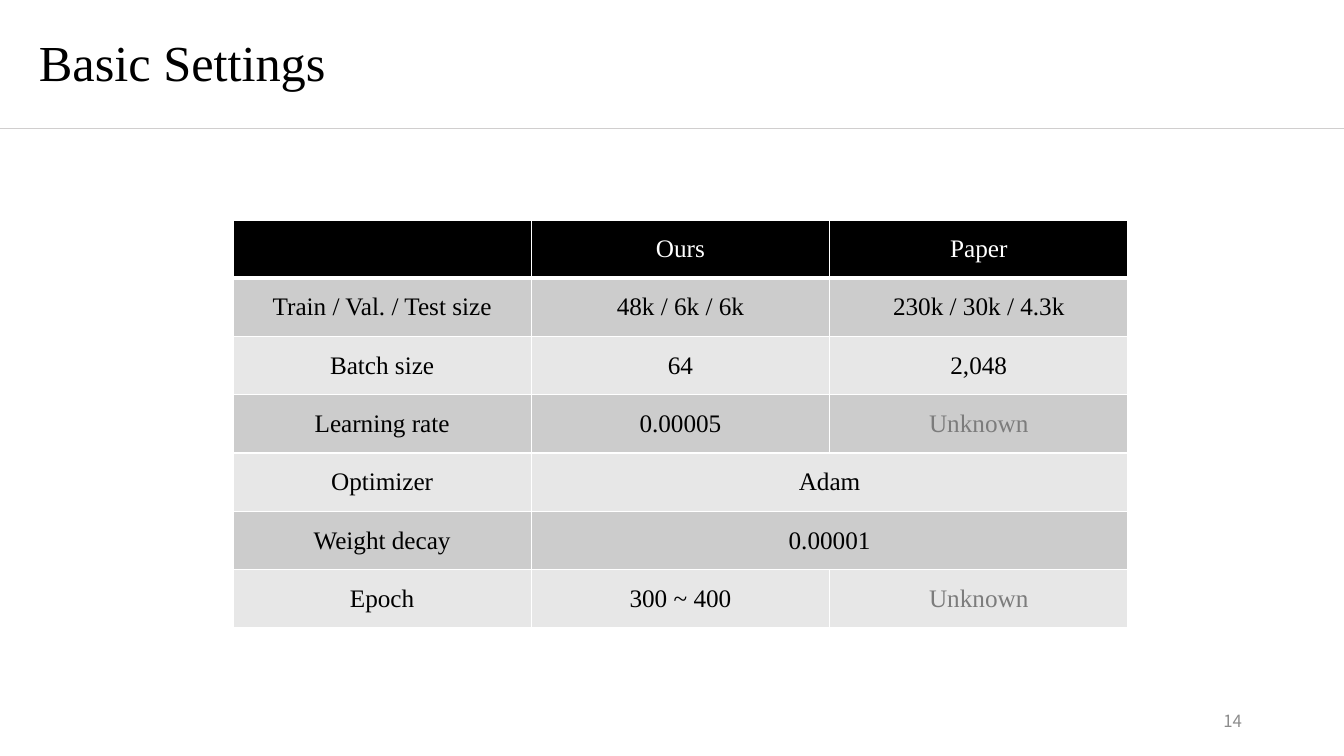
import pptx
import pptx.util
import pptx.dml.color
import pptx.enum.shapes
import pptx.enum.text
import pptx.oxml
import pptx.oxml.ns
import lxml.etree

RGBColor = pptx.dml.color.RGBColor
Align = pptx.enum.text.PP_ALIGN
Anchor = pptx.enum.text.MSO_ANCHOR

BLACK = RGBColor(0x00, 0x00, 0x00)
WHITE = RGBColor(0xFF, 0xFF, 0xFF)
RULE_GREY = RGBColor(0xD0, 0xCE, 0xCE)
NUMBER_GREY = RGBColor(0x8C, 0x8C, 0x8C)
UNKNOWN_GREY = RGBColor(0x7C, 0x7C, 0x7C)
BAND_DARK = RGBColor(0xCC, 0xCC, 0xCC)
BAND_LIGHT = RGBColor(0xE7, 0xE7, 0xE7)

SLIDE_WIDTH, SLIDE_HEIGHT = 1344, 756
EMU_PER_PX = 12192000 / SLIDE_WIDTH

SETTINGS = [
    ["", "Ours", "Paper"],
    ["Train / Val. / Test size", "48k / 6k / 6k", "230k / 30k / 4.3k"],
    ["Batch size", "64", "2,048"],
    ["Learning rate", "0.00005", "Unknown"],
    ["Optimizer", "Adam"],  # a short row spans to the last column
    ["Weight decay", "0.00001"],
    ["Epoch", "300 ~ 400", "Unknown"],
]


def px(length):
    return pptx.util.Emu(round(length * EMU_PER_PX))


class SlideBuilder:
    serif = "Times New Roman"
    sans = "Noto Sans CJK KR"

    def __init__(self, slide):
        self.slide = slide

    def add_wording(self, paragraph, wording, size, color, font, align):
        paragraph.alignment = align
        run = paragraph.add_run()
        run.text = wording
        run.font.size = pptx.util.Pt(size)
        run.font.name = font
        run.font.color.rgb = color

    def text(self, box, wording, size, color, font, align=Align.LEFT,
             anchor=Anchor.TOP, line_spacing=1.0):
        frame = self.slide.shapes.add_textbox(*map(px, box)).text_frame
        frame.word_wrap = True
        frame.vertical_anchor = anchor
        paragraph = frame.paragraphs[0]
        paragraph.line_spacing = line_spacing
        self.add_wording(paragraph, wording, size, color, font, align)

    def line(self, start, end, color, width):
        rule = self.slide.shapes.add_connector(
            pptx.enum.shapes.MSO_CONNECTOR.STRAIGHT, *map(px, start + end))
        rule.line.color.rgb = color
        rule.line.width = pptx.util.Pt(width)
        lxml.etree.SubElement(rule._element.spPr,
                              pptx.oxml.ns.qn("a:effectLst"))

    def borders(self, cell, bottom_width):
        properties = cell._tc.get_or_add_tcPr()
        widths = {"lnL": 1, "lnR": 1, "lnT": 1, "lnB": bottom_width}
        for position, (side, width) in enumerate(widths.items()):
            properties.insert(position, pptx.oxml.parse_xml(
                f'<a:{side} {pptx.oxml.ns.nsdecls("a")} '
                f'w="{pptx.util.Pt(width)}"><a:solidFill>'
                f'<a:srgbClr val="{WHITE}"/></a:solidFill></a:{side}>'))

    def table(self, box, rows):
        columns = len(rows[0])
        grid = self.slide.shapes.add_table(
            len(rows), columns, *map(px, box)).table
        for row, wordings in enumerate(rows):
            header = row == 0
            band = BLACK if header else BAND_DARK if row % 2 else BAND_LIGHT
            for column in range(columns):
                cell = grid.cell(row, column)
                cell.fill.solid()
                cell.fill.fore_color.rgb = band
                cell.vertical_anchor = Anchor.MIDDLE
                self.borders(cell, 3 if header else 1)
            if len(wordings) < columns:
                grid.cell(row, len(wordings) - 1).merge(
                    grid.cell(row, columns - 1))
            for column, wording in enumerate(wordings):
                if not wording:
                    continue
                color = (WHITE if header else
                         UNKNOWN_GREY if wording == "Unknown" else BLACK)
                paragraph = grid.cell(row, column).text_frame.paragraphs[0]
                self.add_wording(paragraph, wording, 18, color, self.serif,
                                 Align.CENTER)


def main():
    deck = pptx.Presentation()
    deck.slide_width, deck.slide_height = px(SLIDE_WIDTH), px(SLIDE_HEIGHT)
    page = SlideBuilder(deck.slides.add_slide(deck.slide_layouts[6]))

    # Heading and the rule below it
    page.text((29, 33, 1159, 94), "Basic Settings", 36, BLACK, page.serif,
              line_spacing=0.9)
    page.line((0, 128), (SLIDE_WIDTH, 128), RULE_GREY, 0.5)

    # Slide number
    page.text((950, 701, 302, 40), "14", 12, NUMBER_GREY, page.sans,
              Align.RIGHT, Anchor.MIDDLE)

    # Training settings
    page.table((233, 220, 895, 408), SETTINGS)

    deck.save("out.pptx")


if __name__ == "__main__":
    main()
